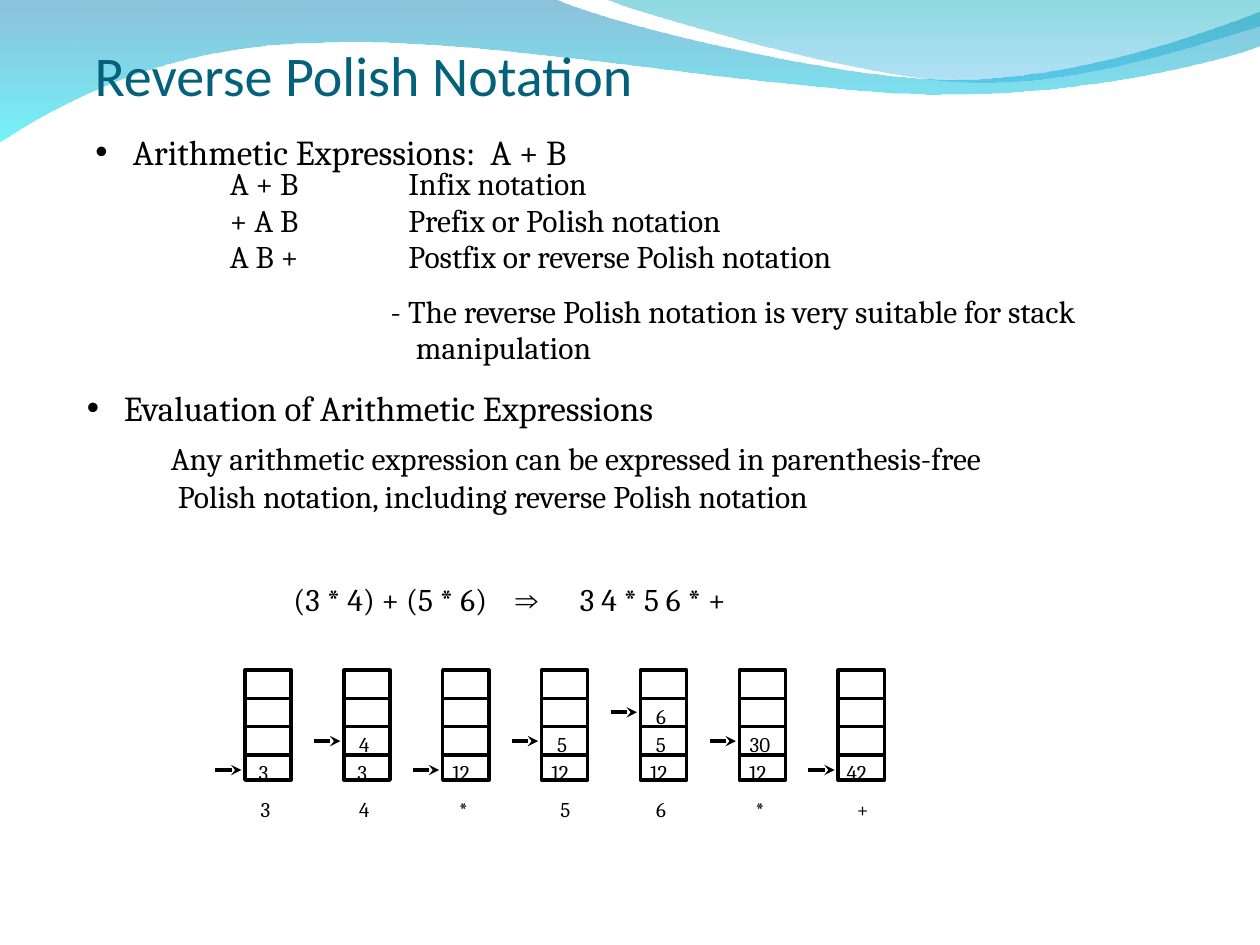
from dataclasses import dataclass

from lxml import etree
from pptx import Presentation
from pptx import util as u
from pptx.dml.color import RGBColor
from pptx.enum import shapes, text
from pptx.oxml.ns import qn

BLACK = RGBColor(0x00, 0x00, 0x00)
TITLE_TEAL = RGBColor(0x04, 0x61, 0x7B)
WAVE_BLUE = RGBColor(0x00, 0x79, 0xAF)
WAVE_CYAN = RGBColor(0x00, 0xEB, 0xF8)
CREST_TEAL = RGBColor(0x00, 0xAD, 0xB6)
CREST_BLUE = RGBColor(0x00, 0x9B, 0xE5)
SERIF = "Cambria"

STACK_LEFT, STACK_PITCH, STACK_TOP = 140, 56.5, 383
STACK_WIDTH, STACK_HEIGHT, CELL_HEIGHT = 26.4, 62.8, 16.1
LABEL_WIDTH, LABEL_HEIGHT = 27, 21.6
BOTTOM_SHIFT, LABEL_SHIFT = -3, -1.8
BOTTOM_VALUE_TOP, SYMBOL_TOP = 430.4, 451.6
BOTTOM_ARROW, ARROW_STEP = 440, 16.5


@dataclass(frozen=True)
class Wave:
    """Each segment is one point (line) or three points (cubic curve)."""
    start: tuple
    segments: tuple
    stops: tuple  # colour and opacity in percent, from top to bottom


@dataclass(frozen=True)
class Run:
    words: str
    font: str = SERIF
    tracking: float = 0


@dataclass(frozen=True)
class Line:
    runs: tuple
    left: float = 0
    hang: float = 0
    bullet: bool = False


@dataclass(frozen=True)
class Block:
    left: float
    top: float
    width: float
    height: float
    lines: tuple
    size: float = 18
    spacing: float = 1.0
    inset: tuple = (5, 2.2)


@dataclass(frozen=True)
class Stack:
    symbol: str
    values: tuple  # bottom first
    symbol_shift: float = LABEL_SHIFT


WAVES = (
    Wave((0, -0.7), (
        ((316.8, -0.7),),
        ((342.7, 12.2), (478.1, 45.4), (545.8, 45.4)),
        ((614.2, 45.4), (689.8, 18.7), (720, 6.5)),
        ((720.7, 25.9),),
        ((707.8, 31.7), (626.4, 54.7), (537.1, 54)),
        ((447.8, 54), (275, 20.2), (185, 24.5)),
        ((92.9, 25.2), (33.1, 59.8), (-0.7, 81.4)),
    ), ((WAVE_BLUE, 45), (WAVE_CYAN, 55))),
    Wave((344.9, -0.7), (
        ((366.5, 7.9), (491, 44.6), (553.7, 46.8)),
        ((616.3, 49.7), (691.9, 23), (720, 15.1)),
        ((720, 0),),
    ), ((CREST_TEAL, 45), (CREST_BLUE, 30))),
)

NOTATIONS = (
    ("A + B", "Infix notation"),
    ("+ A B", "Prefix or Polish notation"),
    ("A B +", "Postfix or reverse Polish notation"),
)

BLOCKS = (
    Block(126.4, 93.2, 545.8, 66.2, tuple(
        Line((Run(f"{form}\t{name}"),), left=102, hang=102)
        for form, name in NOTATIONS), spacing=0.96),
    Block(202.3, 166.6, 493.2, 75.6, (
        Line((Run("- The reverse Polish notation is very suitable for stack "
                  "manipulation"),), left=30.4, hang=14.4),), spacing=0.94),
    Block(44.6, 222.5, 378, 24.5, (
        Line((Run("Evaluation of Arithmetic Expressions"),),
             left=21.2, hang=21.2, bullet=True),), size=20, spacing=0.85),
    Block(84.8, 248.7, 569.5, 47.5, (
        Line((Run("Any arithmetic expression can be expressed in "
                  "parenthesis-free"),), left=7.8),
        Line((Run("Polish notation, including reverse Polish notation"),),
             left=11.8))),
    Block(162.7, 330.5, 288.7, 24.5, (
        Line((Run("(3 * 4) + (5 * 6)"), Run(" ", tracking=12), Run("⇒", "Arial"),
              Run(" ", tracking=20), Run("3 4 * 5 6 * +"))),), spacing=0.96),
    Block(47.5, 71, 313.9, 31, (
        Line((Run("Arithmetic Expressions:  A + B"),),
             left=21.4, hang=21.4, bullet=True),), size=20, inset=(7.2, 3.6)),
)

STACKS = (
    Stack("3", ("3",)),
    Stack("4", ("3", "4")),
    Stack("*", ("12",)),
    Stack("5", ("12", "5"), symbol_shift=0),
    Stack("6", ("12", "5", "6")),
    Stack("*", ("12", "30")),
    Stack("+", ("42",), symbol_shift=0.5),
)


def draw_wave(page, wave: Wave) -> None:
    builder = page.shapes.build_freeform(*(u.Pt(v) for v in wave.start))
    builder.add_line_segments([(u.Pt(x), u.Pt(y)) for segment in wave.segments
                               for x, y in segment], close=True)
    shape = builder.convert_to_shape()
    bend_segments(shape, wave)
    shape.shadow.inherit = False
    shape.line.fill.background()
    shape.fill.gradient()
    shape.fill.gradient_angle = 270
    for stop, (color, opacity) in zip(shape.fill.gradient_stops, wave.stops):
        stop.color.rgb = color
    colors = shape._element.spPr.iter(qn("a:srgbClr"))
    for node, (color, opacity) in zip(colors, wave.stops):
        etree.SubElement(node, qn("a:alpha"), val=str(opacity * 1000))


def bend_segments(shape, wave: Wave) -> None:
    """Merge the three lines of each curved segment into one cubic curve."""
    lines = iter(list(shape._element.spPr.iter(qn("a:lnTo"))))
    for segment in wave.segments:
        parts = [next(lines) for _ in segment]
        if len(parts) == 3:
            curve = etree.Element(qn("a:cubicBezTo"))
            parts[0].addprevious(curve)
            for part in parts:
                curve.append(part[0])
                part.getparent().remove(part)


def add_run(para, words: str, font: str, size: float, color=BLACK):
    span = para.add_run()
    span.text = words
    span.font.name = font
    span.font.size = u.Pt(size)
    span.font.color.rgb = color
    return span


def format_line(para, line: Line) -> None:
    """Set indents and bullet."""
    properties = para._p.get_or_add_pPr()
    properties.set("marL", str(u.Pt(line.left)))
    properties.set("indent", str(-u.Pt(line.hang)))
    if line.bullet:
        etree.SubElement(properties, qn("a:buFont"), typeface="Arial")
        etree.SubElement(properties, qn("a:buChar"), char="•")


def draw_block(page, block: Block) -> None:
    box = page.shapes.add_textbox(*(u.Pt(v) for v in (
        block.left, block.top, block.width, block.height)))
    frame = box.text_frame
    frame.word_wrap = True
    frame.margin_left = frame.margin_right = u.Pt(block.inset[0])
    frame.margin_top = frame.margin_bottom = u.Pt(block.inset[1])
    for index, line in enumerate(block.lines):
        para = frame.add_paragraph() if index else frame.paragraphs[0]
        format_line(para, line)
        para.line_spacing = block.spacing
        for run in line.runs:
            span = add_run(para, run.words, run.font, block.size)
            if run.tracking:
                span._r.get_or_add_rPr().set("spc", str(run.tracking * 100))


def draw_label(page, left: float, top: float, words: str) -> None:
    box = page.shapes.add_textbox(u.Pt(left), u.Pt(top),
                                  u.Pt(LABEL_WIDTH), u.Pt(LABEL_HEIGHT))
    box.text_frame.word_wrap = False
    para = box.text_frame.paragraphs[0]
    para.alignment = text.PP_ALIGN.CENTER
    add_run(para, words, SERIF, 12)


def draw_level(page, start: float, end: float, y: float, arrow=False) -> None:
    """Draw a horizontal line, with a stealth head if it is an arrow."""
    line = page.shapes.add_connector(shapes.MSO_CONNECTOR.STRAIGHT,
                                     u.Pt(start), u.Pt(y), u.Pt(end), u.Pt(y))
    line.line.color.rgb = BLACK
    line.line.width = u.Pt(2)
    if arrow:
        etree.SubElement(line.line._get_or_add_ln(), qn("a:tailEnd"), type="stealth")
    etree.SubElement(line._element.spPr, qn("a:effectLst"))


def draw_stack(page, stack: Stack, left: float) -> None:
    frame = page.shapes.add_shape(shapes.MSO_SHAPE.RECTANGLE, u.Pt(left), u.Pt(STACK_TOP),
                                  u.Pt(STACK_WIDTH), u.Pt(STACK_HEIGHT))
    frame.shadow.inherit = False
    frame.fill.background()
    frame.line.color.rgb = BLACK
    frame.line.width = u.Pt(2)
    for row in (1, 2, 3):
        draw_level(page, left, left + STACK_WIDTH, STACK_TOP + row * CELL_HEIGHT)
    for row, value in enumerate(stack.values):
        shift = LABEL_SHIFT if row else BOTTOM_SHIFT
        draw_label(page, left + shift, BOTTOM_VALUE_TOP - row * CELL_HEIGHT, value)
    pointer = BOTTOM_ARROW - (len(stack.values) - 1) * ARROW_STEP
    draw_level(page, left - 17, left - 2, pointer, arrow=True)
    draw_label(page, left + stack.symbol_shift, SYMBOL_TOP, stack.symbol)


def draw_title(page) -> None:
    title = page.shapes.title
    title.left, title.top, title.width, title.height = (
        u.Pt(v) for v in (54, 20.2, 580.3, 41))
    frame = title.text_frame
    frame.auto_size = text.MSO_AUTO_SIZE.NONE
    frame.vertical_anchor = text.MSO_ANCHOR.MIDDLE
    frame.margin_left = frame.margin_right = frame.margin_bottom = 0
    frame.margin_top = u.Pt(3.6)
    para = frame.paragraphs[0]
    para.alignment = text.PP_ALIGN.LEFT
    add_run(para, "Reverse Polish Notation", "Calibri", 32, TITLE_TEAL)
    page.shapes._spTree.append(title._element)  # in front of the waves


def main() -> None:
    deck = Presentation()
    deck.slide_width, deck.slide_height = u.Pt(720), u.Pt(540)
    page = deck.slides.add_slide(deck.slide_layouts[5])
    for wave in WAVES:
        draw_wave(page, wave)
    draw_title(page)
    for block in BLOCKS:
        draw_block(page, block)
    for index, stack in enumerate(STACKS):
        draw_stack(page, stack, STACK_LEFT + index * STACK_PITCH)
    deck.save("out.pptx")


if __name__ == "__main__":
    main()
